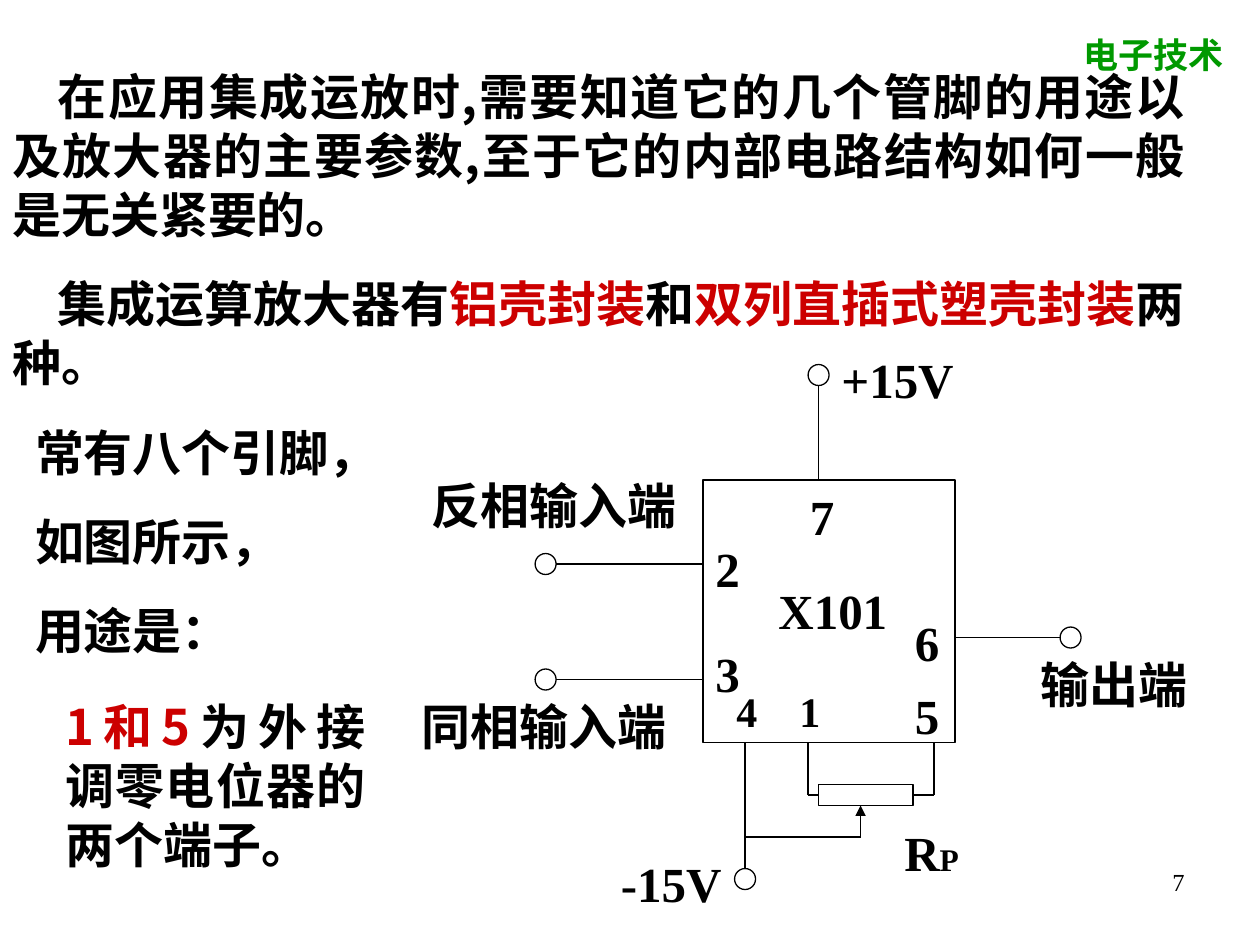
import pptx
import pptx.dml.color
import pptx.enum.dml
import pptx.enum.shapes
import pptx.enum.text
import pptx.oxml.ns
import pptx.util
from lxml import etree

RGBColor = pptx.dml.color.RGBColor
BLACK = RGBColor(0x00, 0x00, 0x00)
WHITE = RGBColor(0xFF, 0xFF, 0xFF)
RED = RGBColor(0xCC, 0x00, 0x00)
GREEN = RGBColor(0x00, 0x99, 0x00)

SERIF = "Times New Roman"
HAN = "Noto Sans CJK SC"
ALIGN = pptx.enum.text.PP_ALIGN
SHAPE = pptx.enum.shapes.MSO_SHAPE

# The circuit lies on a grid of 1/12 inch counted from the chip's top left corner.
CELL = 1 / 12
CHIP_LEFT, CHIP_TOP = 5.58, 3.81
CHIP_COLS, CHIP_ROWS = 24, 25
LINE_WIDTH = pptx.util.Pt(0.75)


def grid_x(col):
    return pptx.util.Inches(CHIP_LEFT + col * CELL)


def grid_y(row):
    return pptx.util.Inches(CHIP_TOP + row * CELL)


def grid_size(cells):
    return pptx.util.Inches(cells * CELL)


def add_runs(paragraph, runs, size, font, bold=True):
    """Add (text, colour) or (text, colour, size) runs."""
    for text, colour, *own_size in runs:
        run = paragraph.add_run()
        run.text = text
        run.font.size = pptx.util.Pt(own_size[0] if own_size else size)
        run.font.bold = bold
        run.font.name = font
        run.font.color.rgb = colour
        east_asian = etree.Element(pptx.oxml.ns.qn("a:ea"), typeface=HAN)
        run.font._element.find(pptx.oxml.ns.qn("a:latin")).addnext(east_asian)


def add_text(slide, box, paragraphs, size=28, font=SERIF, align=ALIGN.LEFT,
             before=0, bold=True, grow=True):
    """Add a text box; each paragraph is (first-line indent in inches, runs)."""
    frame = slide.shapes.add_textbox(*box).text_frame
    frame.word_wrap = True
    if grow:
        frame.auto_size = pptx.enum.text.MSO_AUTO_SIZE.SHAPE_TO_FIT_TEXT
    for number, (indent, runs) in enumerate(paragraphs):
        paragraph = frame.add_paragraph() if number else frame.paragraphs[0]
        paragraph.alignment = align
        paragraph.space_before = pptx.util.Pt(before)
        if indent:
            properties = paragraph._p.get_or_add_pPr()
            properties.set("marL", "0")
            properties.set("indent", str(pptx.util.Inches(indent)))
        add_runs(paragraph, runs, size, font, bold)


def add_label(slide, col, row, cols, runs, size=28, before=17.5):
    height = 0.57 if size == 28 else 0.5
    box = grid_x(col), grid_y(row), grid_size(cols), pptx.util.Inches(height)
    add_text(slide, box, [(0, runs)], size, before=before)


def add_part(slide, kind, col, row, cols, rows):
    part = slide.shapes.add_shape(kind, grid_x(col), grid_y(row),
                                  grid_size(cols), grid_size(rows))
    part.shadow.inherit = False
    part.fill.solid()
    part.fill.fore_color.rgb = WHITE
    part.line.color.rgb = BLACK
    part.line.width = LINE_WIDTH


def add_wire(slide, start, end, arrow=False):
    wire = slide.shapes.add_connector(
        pptx.enum.shapes.MSO_CONNECTOR.STRAIGHT,
        grid_x(start[0]), grid_y(start[1]), grid_x(end[0]), grid_y(end[1]))
    wire.line.color.rgb = BLACK
    wire.line.width = LINE_WIDTH
    if arrow:
        etree.SubElement(wire.line._get_or_add_ln(),
                         pptx.oxml.ns.qn("a:tailEnd"), type="triangle")
    etree.SubElement(wire._element.spPr, pptx.oxml.ns.qn("a:effectLst"))


def add_circuit(slide):
    add_part(slide, SHAPE.RECTANGLE, 0, 0, CHIP_COLS, CHIP_ROWS)
    terminals = [(3, 37), (34, 14), (-16, 18), (-16, 7), (10, -11)]
    for col, row in terminals:
        add_part(slide, SHAPE.OVAL, col, row, 2, 2)
    add_part(slide, SHAPE.RECTANGLE, 11, 29, 9, 2)

    wires = [
        ((11, -9), (11, 0)),
        ((-14, 8), (0, 8)),
        ((-14, 19), (0, 19)),
        ((CHIP_COLS, 15), (34, 15)),
        ((4, 37), (4, CHIP_ROWS)),
        ((4, 34), (15, 34)),
        ((11, 30), (10, 30)),
        ((10, 30), (10, CHIP_ROWS)),
        ((20, 30), (22, 30)),
        ((22, 30), (22, CHIP_ROWS)),
    ]
    for start, end in wires:
        add_wire(slide, start, end)
    add_wire(slide, (15, 34), (15, 31), arrow=True)

    labels = [
        ("X101", 6, 9, 14), ("2", 0, 5, 7), ("3", 0, 15, 7),
        ("5", 19, 19, 6), ("6", 19, 12, 10), ("7", 9, 0, 7),
        ("+15V", 12, -13, 18), ("-15V", -9, 35, 17),
        ("输出端", 31, 16, 17), ("反相输入端", -27, -1, 29),
        ("同相输入端", -28, 20, 29),
    ]
    for text, col, row, cols in labels:
        add_label(slide, col, row, cols, [(text, BLACK)])
    for pin, col in (("4", 2), ("1", 8)):
        add_label(slide, col, 19, 6, [(pin, BLACK)], size=24, before=15)
    add_label(slide, 18, 32, 13, [("R", BLACK), ("P", BLACK, 18)], before=11.2)


def add_explanation(slide):
    inches = pptx.util.Inches
    long_indent, short_indent = 0.36, 0.18
    body = [
        (long_indent, [("在应用集成运放时,需要知道它的几个管脚的用途以及放大器的主要参数,"
                        "至于它的内部电路结构如何一般是无关紧要的。", BLACK)]),
        (long_indent, [("集成运算放大器有", BLACK), ("铝壳封装", RED), ("和", BLACK),
                       ("双列直插式塑壳封装", RED), ("两种。", BLACK)]),
    ]
    body += [(short_indent, [(text, BLACK)])
             for text in ("常有八个引脚，", "如图所示，", "用途是：")]
    add_text(slide, (0, inches(0.48), inches(9.5), inches(4.81)), body,
             font=HAN, align=ALIGN.JUSTIFY, before=17.5)
    pin_use = [("1和5", RED), ("为外接调零电位器的两个端子。", BLACK)]
    add_text(slide, (inches(0.42), inches(5.48), inches(2.58), inches(1.5)),
             [(0, pin_use)], font=HAN, align=ALIGN.JUSTIFY, before=17.5)


def main():
    inches = pptx.util.Inches
    deck = pptx.Presentation()
    deck.slide_width, deck.slide_height = inches(10), inches(7.5)
    slide = deck.slides.add_slide(deck.slide_layouts[6])
    add_text(slide, (inches(8.5), inches(0.22), inches(1.45), inches(0.44)),
             [(0, [("电子技术", GREEN)])], size=20)
    add_explanation(slide)
    add_circuit(slide)
    add_text(slide, (inches(7.17), inches(6.83), inches(2.33), inches(0.52)),
             [(0, [("7", BLACK)])], size=14, align=ALIGN.RIGHT,
             bold=False, grow=False)
    deck.save("out.pptx")


if __name__ == "__main__":
    main()
